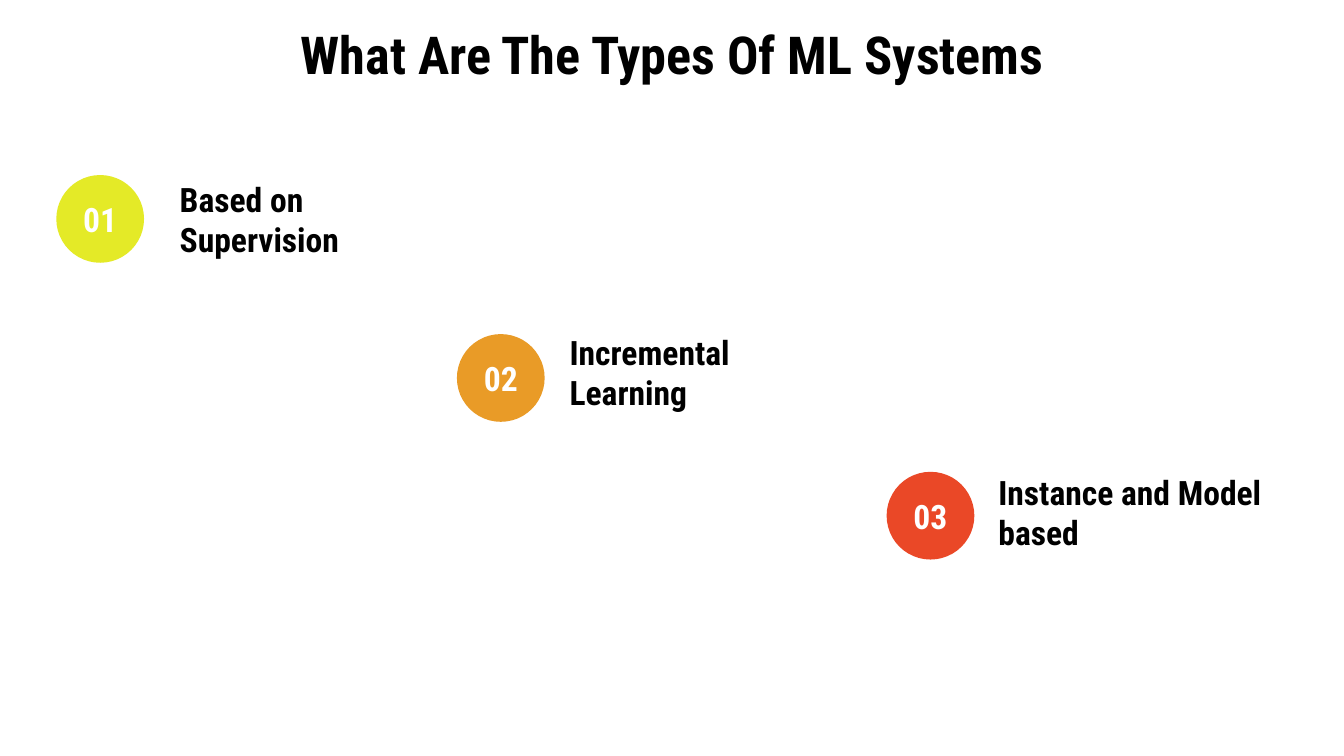
from dataclasses import dataclass
from pptx import Presentation
from pptx.dml.color import RGBColor
from pptx.enum.shapes import MSO_SHAPE
from pptx.enum.text import MSO_ANCHOR, PP_ALIGN
from pptx.util import Pt


@dataclass(frozen=True)
class Theme:
    font: str = "Roboto Condensed"
    ink: str = "000000"
    paper: str = "FFFFFF"
    lime: str = "E4EA27"
    amber: str = "E99B27"
    red: str = "EA4827"
    head: int = 28
    body: int = 18
    inset: float = 7.2


THEME = Theme()


def write(shape, text, size, color, align):
    frame = shape.text_frame
    frame.word_wrap = True
    frame.vertical_anchor = MSO_ANCHOR.MIDDLE
    frame.margin_left = frame.margin_right = Pt(THEME.inset)
    frame.margin_top = frame.margin_bottom = Pt(THEME.inset)
    line = frame.paragraphs[0]
    line.text = text
    line.alignment = align
    line.font.name = THEME.font
    line.font.size = Pt(size)
    line.font.bold = True
    line.font.color.rgb = RGBColor.from_string(color)


def add_title(slide, box, text):
    title = slide.shapes.add_textbox(*map(Pt, box))
    write(title, text, THEME.head, THEME.ink, PP_ALIGN.CENTER)


def add_item(slide, box, shift, number, text, color):
    left, top, width, height = box
    across, down = shift
    group = slide.shapes.add_group_shape()

    badge = group.shapes.add_shape(
        MSO_SHAPE.OVAL, Pt(left), Pt(top), Pt(height), Pt(height))
    badge.shadow.inherit = False
    badge.fill.solid()
    badge.fill.fore_color.rgb = RGBColor.from_string(color)
    badge.line.fill.background()
    write(badge, f"{number:02}", THEME.body, THEME.paper, PP_ALIGN.CENTER)

    label = group.shapes.add_textbox(
        Pt(left + across), Pt(top + down), Pt(width - across), Pt(26))
    write(label, text, THEME.body, THEME.ink, PP_ALIGN.LEFT)


def main():
    deck = Presentation()
    deck.slide_width, deck.slide_height = Pt(720), Pt(405)
    slide = deck.slides.add_slide(deck.slide_layouts[6])
    slide.background.fill.solid()
    slide.background.fill.fore_color.rgb = RGBColor.from_string(THEME.paper)

    add_title(slide, (36, 13.7, 648, 29.5), "What Are The Types Of ML Systems")
    items = [
        ((30.2, 93.8, 215.3, 47), (59, 10.6), "Based on Supervision", THEME.lime),
        ((244.8, 179, 209.5, 47), (53.3, 7.4), "Incremental Learning", THEME.amber),
        ((475, 252.8, 209, 47), (52.8, 8.6), "Instance and Model based", THEME.red),
    ]
    for number, (box, shift, text, color) in enumerate(items, 1):
        add_item(slide, box, shift, number, text, color)
    deck.save("out.pptx")


if __name__ == "__main__":
    main()
